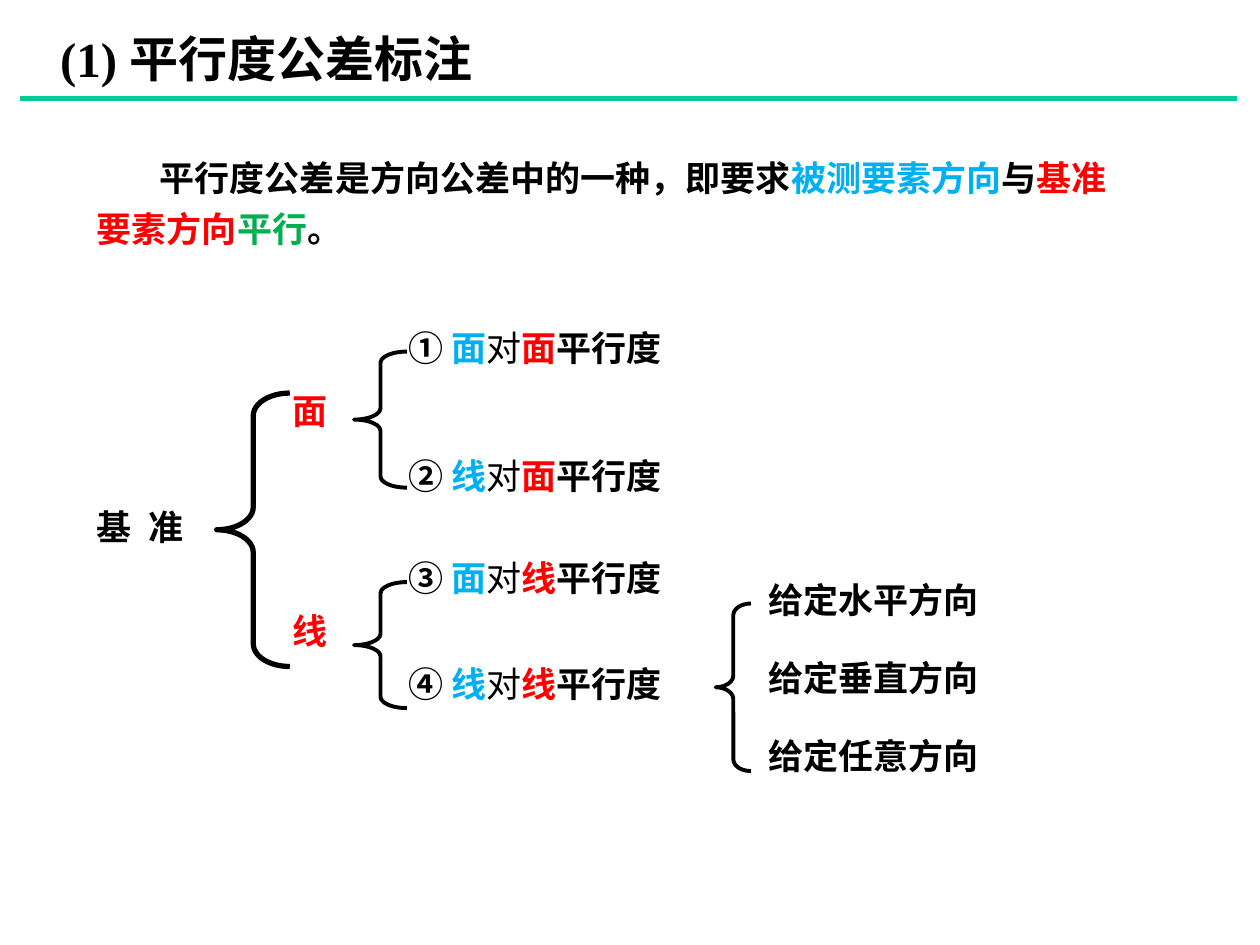
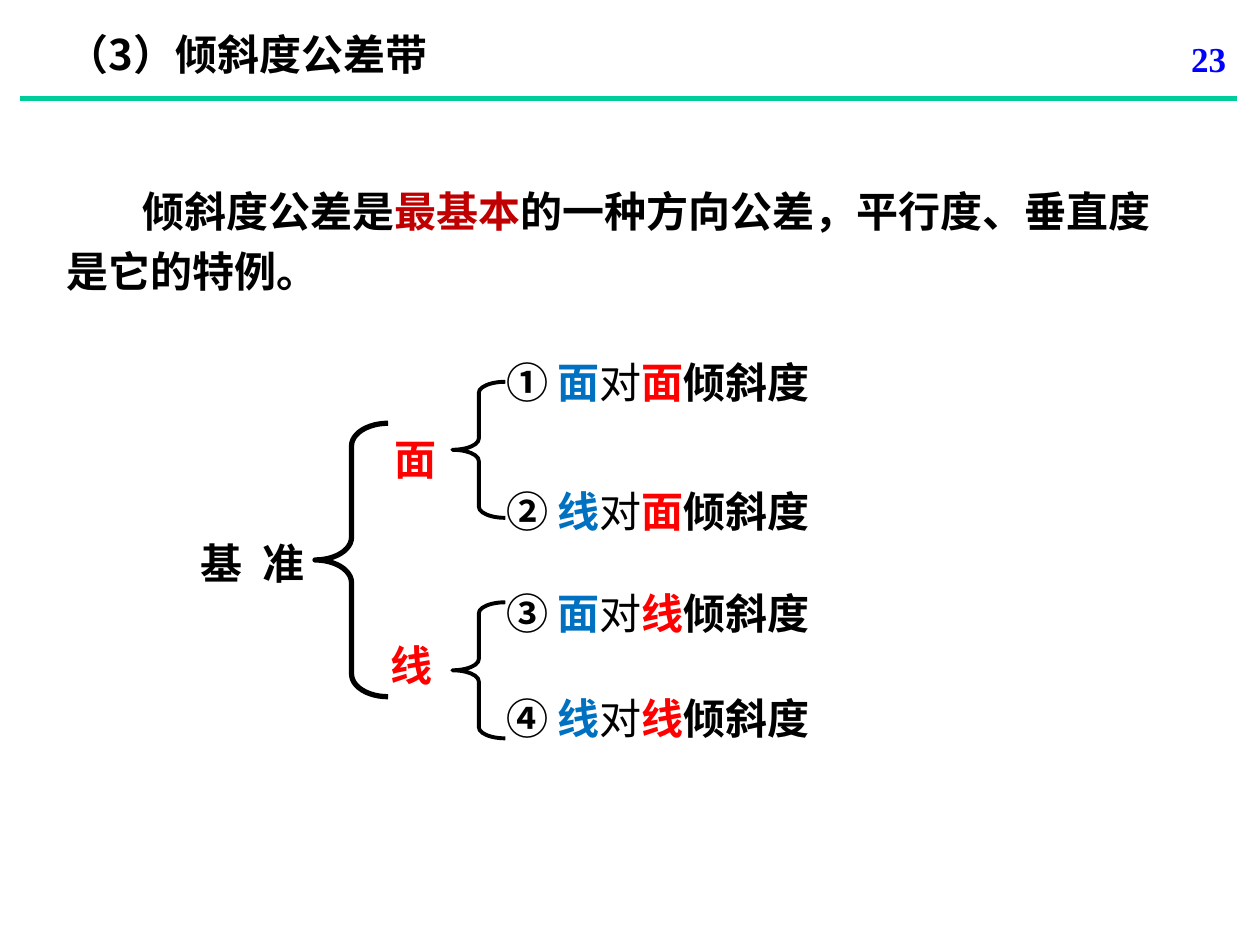
from lxml.etree import SubElement
from pptx import Presentation
from pptx.dml.color import RGBColor
from pptx.enum.shapes import MSO_CONNECTOR, MSO_SHAPE
from pptx.enum.text import PP_ALIGN
from pptx.oxml.ns import qn
from pptx.util import Inches, Pt

COLORS = {
    "black": "000000",
    "red": "FF0000",
    "dark_red": "C00000",
    "sky": "00B0F0",
    "blue": "0070C0",
    "green": "00B050",
    "rule": "00CC99",
    "number": "0000FF",
}
LATIN_FONT = "Times New Roman"
CHINESE_FONT = "Noto Sans CJK SC"
PAIRS = [("①", "面", "面"), ("②", "线", "面"), ("③", "面", "线"), ("④", "线", "线")]
PAIR_TOPS = [2.54, 3.56, 4.37, 5.21]


def color(name):
    """Return the named colour of the palette."""
    return RGBColor.from_string(COLORS[name])


def add_text(slide, box, size, runs, align=PP_ALIGN.LEFT, indent=0, spacing=None):
    """Add one bold paragraph of (text, colour) runs and return it."""
    frame = slide.shapes.add_textbox(*map(Inches, box)).text_frame
    frame.word_wrap = True
    paragraph = frame.paragraphs[0]
    paragraph.alignment = align
    if spacing:
        paragraph.line_spacing = spacing
    if indent:
        paragraph._p.get_or_add_pPr().set("indent", str(Inches(indent)))
    paragraph.font.size = Pt(size)
    paragraph.font.name = LATIN_FONT
    east_asian = SubElement(paragraph.font._element, qn("a:ea"))
    east_asian.set("typeface", CHINESE_FONT)
    for text, color_name in runs:
        run = paragraph.add_run()
        run.text = text
        run.font.bold = True
        run.font.color.rgb = color(color_name)
    return paragraph


def add_title(slide, box, size, opening, wording):
    """Add the slide title and the green rule below it."""
    title = add_text(slide, box, size, [(opening, "black"), (wording, "black")])
    title.runs[1].font.name = CHINESE_FONT
    rule = slide.shapes.add_connector(
        MSO_CONNECTOR.STRAIGHT, Inches(0.16), Inches(0.78), Inches(9.82), Inches(0.78)
    )
    rule.line.color.rgb = color("rule")
    rule.line.width = Pt(3)
    SubElement(rule._element.spPr, qn("a:effectLst"))


def add_brace(slide, box, curve, width=2.25):
    """Add a black left brace."""
    brace = slide.shapes.add_shape(MSO_SHAPE.LEFT_BRACE, *map(Inches, box))
    brace.shadow.inherit = False
    brace.adjustments[0] = curve
    brace.fill.background()
    brace.line.color.rgb = color("black")
    brace.line.width = Pt(width)


def add_datum_tree(slide, shift, size, measured_color, tolerance,
                   root, plane, line, line_brace):
    """Add the tree that leads from the datum to the four tolerance cases."""
    right, down = shift
    height = size * 0.02 + 0.04
    datum = add_text(slide, (*root, 1.07, height), size,
                     [("基", "black"), (" ", "black"), ("准", "black")])
    datum.runs[1].font._element.set("spc", str(size * 25))
    for text, place in (("面", plane), ("线", line)):
        add_text(slide, (*place, 1, height), size, [(text, "red")])
    add_brace(slide, (1.72 + right, 3.12 + down, 0.58, 2.17), 0.31, 3)
    for top, brace_height in ((2.79 + down, 1.08), line_brace):
        add_brace(slide, (2.81 + right, top, 0.42, brace_height), 0.21)
    for top, (number, measured, reference) in zip(PAIR_TOPS, PAIRS):
        paragraph = add_text(slide, (3.14 + right, top + down, 4.25, height), size, [
            (f"{number} ", "black"),
            (measured, measured_color),
            ("对", "black"),
            (reference, "red"),
            (tolerance, "black"),
        ])
        paragraph.runs[2].font.bold = False


def add_parallelism_slide(presentation):
    """Add the slide on parallelism tolerance."""
    slide = presentation.slides.add_slide(presentation.slide_layouts[6])
    add_title(slide, (0.38, 0.18, 7.67, 0.57), 28, "(1) ", "平行度公差标注")
    add_text(slide, (0.67, 1.13, 8.26, 0.91), 20, [
        ("平行度公差是方向公差中的一种，即要求", "black"),
        ("被测要素方向", "sky"),
        ("与", "black"),
        ("基准要素方向", "red"),
        ("平行", "green"),
        ("。", "black"),
    ], indent=0.5, spacing=1.2)
    add_datum_tree(slide, (0, 0), 20, "sky", "平行度", root=(0.67, 3.96),
                   plane=(2.22, 3.04), line=(2.22, 4.79), line_brace=(4.62, 1))
    add_brace(slide, (5.68, 4.79, 0.28, 1.33), 0.33)
    for row, direction in enumerate(("水平", "垂直", "任意")):
        add_text(slide, (6, 4.54 + row * 0.62, 3.2, 0.44), 20,
                 [(f"给定{direction}方向", "black")])


def add_angularity_slide(presentation):
    """Add the slide on angularity tolerance."""
    slide = presentation.slides.add_slide(presentation.slide_layouts[6])
    add_title(slide, (0.43, 0.18, 3.79, 0.5), 24, "（", "3）倾斜度公差带")
    add_text(slide, (7.75, 0.25, 2.08, 0.5), 20, [("23", "number")], PP_ALIGN.RIGHT)
    add_text(slide, (0.43, 1.34, 9.02, 1.07), 24, [
        ("倾斜度公差是", "black"),
        ("最基本", "dark_red"),
        ("的一种方向公差，平行度、垂直度是它的特例。", "black"),
    ], indent=0.6, spacing=1.2)
    add_datum_tree(slide, (0.78, 0.24), 24, "blue", "倾斜度", root=(1.49, 4.22),
                   plane=(3.03, 3.39), line=(3, 5.03), line_brace=(4.78, 1.08))


def main():
    """Build and save the two slides."""
    presentation = Presentation()
    presentation.slide_width = Inches(10)
    presentation.slide_height = Inches(7.5)
    add_parallelism_slide(presentation)
    add_angularity_slide(presentation)
    presentation.save("out.pptx")


if __name__ == "__main__":
    main()
